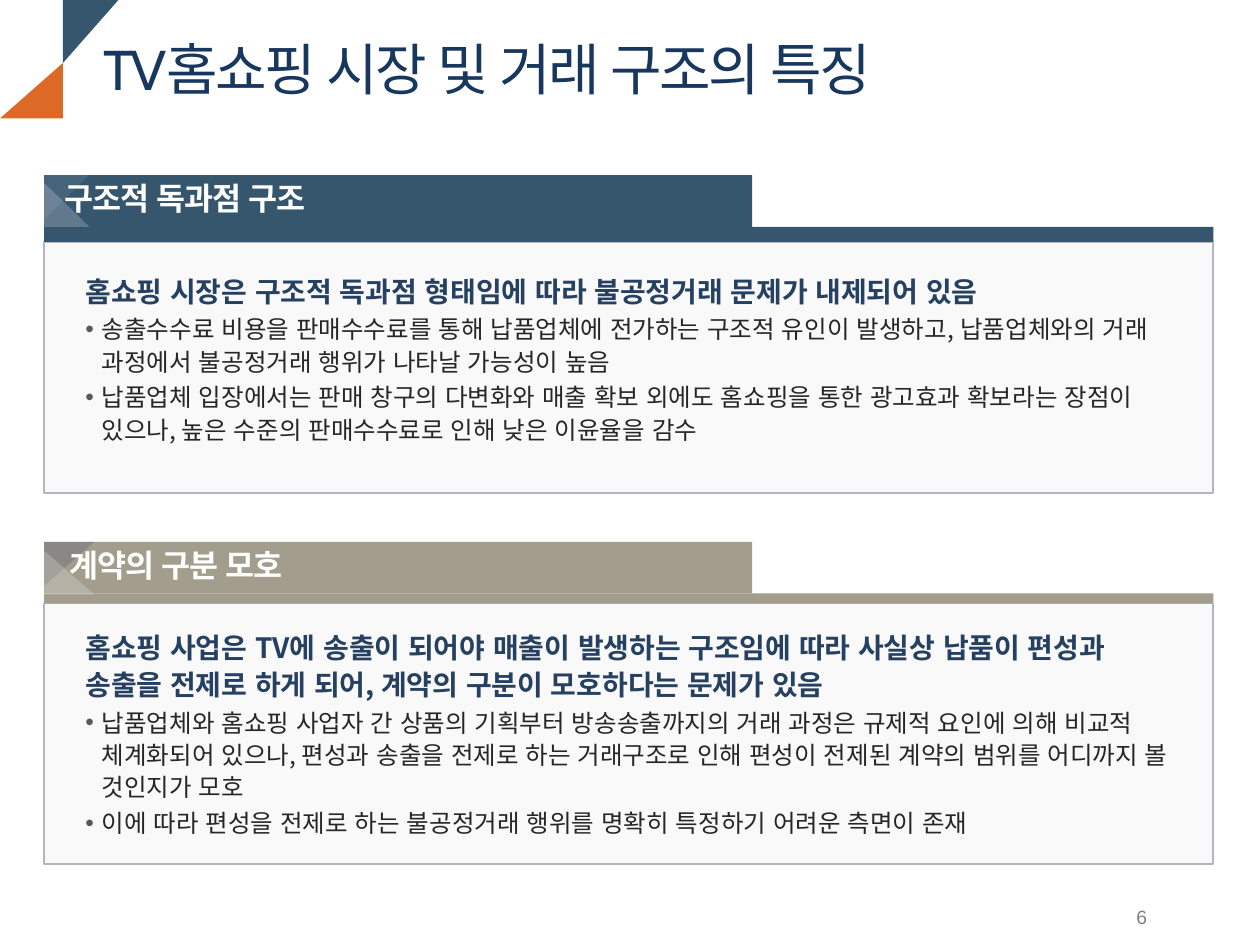
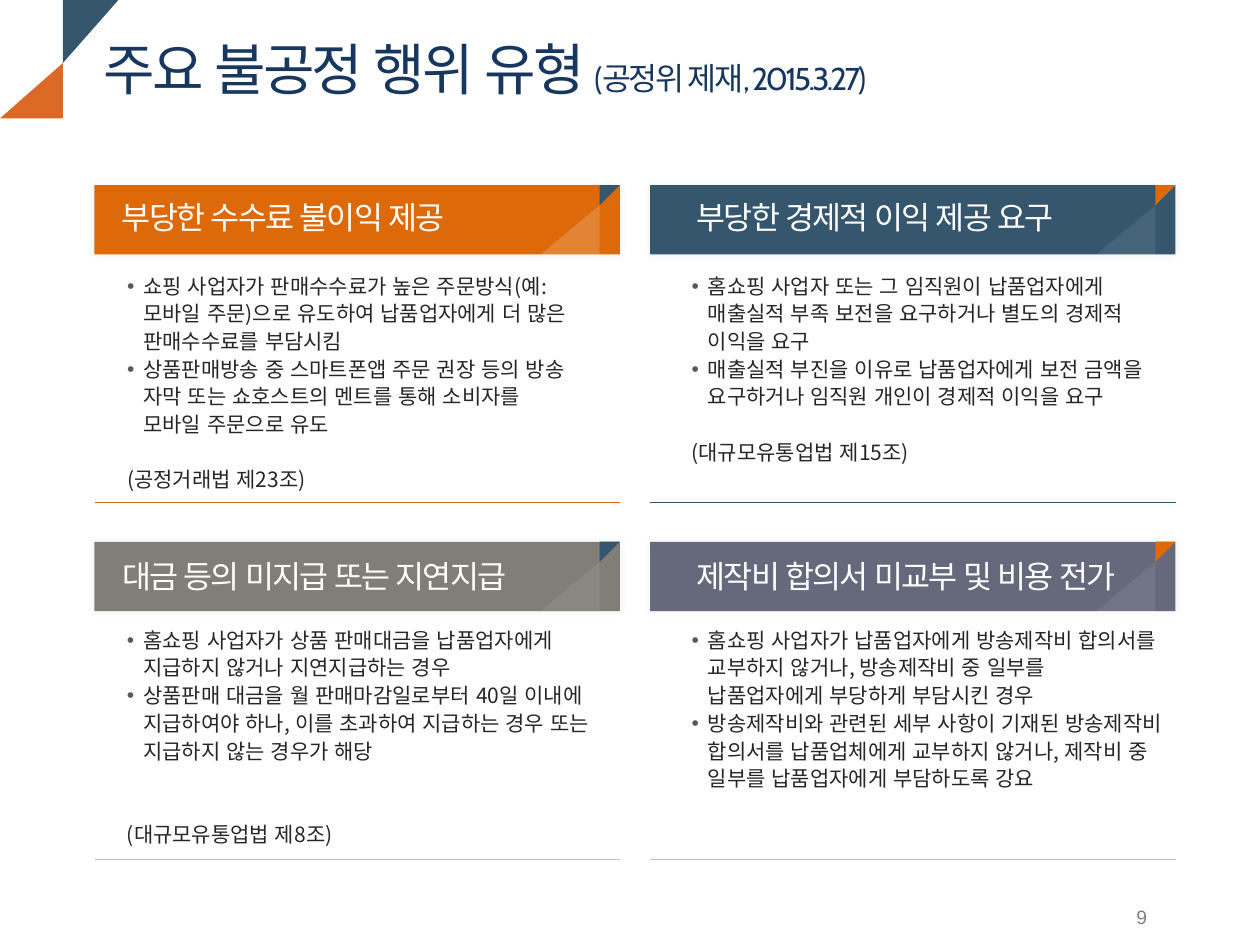
from lxml.etree import SubElement
from pptx import Presentation
from pptx.dml.color import RGBColor
from pptx.enum.lang import MSO_LANGUAGE_ID
from pptx.enum.shapes import MSO_CONNECTOR, MSO_SHAPE
from pptx.enum.text import MSO_ANCHOR, MSO_AUTO_SIZE, PP_ALIGN
from pptx.oxml.ns import qn
from pptx.util import Inches, Pt

WIDE, HIGH = Inches(10), Inches(7.5)
COL, ROW = WIDE / 100, HIGH / 75  # the grid: 100 columns, 75 rows

WHITE = RGBColor(0xFF, 0xFF, 0xFF)
NAVY = RGBColor(0x17, 0x37, 0x5E)
BLUE = RGBColor(0x25, 0x40, 0x61)
TEAL = RGBColor(0x36, 0x56, 0x6E)
RUST = RGBColor(0xDC, 0x6A, 0x26)
ORANGE = RGBColor(0xDD, 0x69, 0x09)
SAND = RGBColor(0xA2, 0x9D, 0x8C)
STONE = RGBColor(0x80, 0x7E, 0x76)
SLATE = RGBColor(0x65, 0x69, 0x7B)
PALE = RGBColor(0xF9, 0xF9, 0xF9)
EDGE = RGBColor(0xB3, 0xB6, 0xC1)
SILVER = RGBColor(0xBF, 0xBF, 0xBF)
GREY = RGBColor(0x80, 0x80, 0x80)
INK = RGBColor(0x26, 0x26, 0x26)

HANGUL = "Noto Sans CJK KR"
# Font attributes, with colour and letter spacing (points) kept apart
TITLE = ({"name": "Cabin", "size": Pt(32)}, NAVY, -1.5)
ASIDE = ({"name": "Cabin", "size": Pt(18)}, NAVY, -1.5)
NUMBER = ({"name": "Arial", "size": Pt(11)}, GREY, -1)
LABEL = ({"name": HANGUL, "size": Pt(18), "bold": True}, WHITE, -0.5)
HEAD = ({"name": HANGUL, "size": Pt(18)}, WHITE, -1)
LEAD = ({"name": HANGUL, "size": Pt(16), "bold": True}, BLUE, 0)
POINT = ({"name": HANGUL, "size": Pt(14)}, INK, 0)
SMALL = ({"name": HANGUL, "size": Pt(12)}, INK, 0)

INSETS = ("margin_left", "margin_top", "margin_right", "margin_bottom")
BODY = {"line_spacing": 1.1, "space_before": Pt(2)}
TIGHT = {"line_spacing": 1.1, "space_before": Pt(0)}
LINE = 15.8  # height of one small text line, in points

PANELS = [
    dict(top=13.9, bar=1.2, deep=19.9, fill=TEAL, fold=3.6, rise=0.6,
         tints=((WHITE, 8), (WHITE, 21)), inset=1.6, drop=7.1, tall=14.9,
         label="구조적 독과점 구조",
         lead="홈쇼핑 시장은 구조적 독과점 형태임에 따라 불공정거래 문제가 내제되어 있음",
         points=["송출수수료 비용을 판매수수료를 통해 납품업체에 전가하는 구조적 유인이 "
                 "발생하고, 납품업체와의 거래 과정에서 불공정거래 행위가 나타날 가능성이 높음",
                 "납품업체 입장에서는 판매 창구의 다변화와 매출 확보 외에도 홈쇼핑을 통한 "
                 "광고효과 확보라는 장점이 있으나, 높은 수준의 판매수수료로 인해 낮은 이윤율을 감수"]),
    dict(top=43, bar=0.8, deep=20.7, fill=SAND, fold=4, rise=0.7,
         tints=((SLATE, 39), (WHITE, 21)), inset=2, drop=6.3, tall=17.9,
         label="계약의 구분 모호",
         lead="홈쇼핑 사업은 TV에 송출이 되어야 매출이 발생하는 구조임에 따라 사실상 "
              "납품이 편성과 송출을 전제로 하게 되어, 계약의 구분이 모호하다는 문제가 있음",
         points=["납품업체와 홈쇼핑 사업자 간 상품의 기획부터 방송송출까지의 거래 과정은 "
                 "규제적 요인에 의해 비교적 체계화되어 있으나, 편성과 송출을 전제로 하는 "
                 "거래구조로 인해 편성이 전제된 계약의 범위를 어디까지 볼 것인지가 모호",
                 "이에 따라 편성을 전제로 하는 불공정거래 행위를 명확히 특정하기 어려운 "
                 "측면이 존재"]),
]

CARDS = [
    dict(fill=ORANGE, tip=TEAL, rule=ORANGE, glow=18, span=30.3,
         head="부당한 수수료 불이익 제공",
         points=["쇼핑 사업자가 판매수수료가 높은 주문방식(예: 모바일 주문)으로 유도하여 "
                 "납품업자에게 더 많은 판매수수료를 부담시킴",
                 "상품판매방송 중 스마트폰앱 주문 권장 등의 방송 자막 또는 쇼호스트의 멘트를 "
                 "통해 소비자를 모바일 주문으로 유도"],
         law="(공정거래법 제23조)", gap=1),
    dict(fill=TEAL, tip=ORANGE, rule=TEAL, glow=8, span=33.4,
         head="부당한 경제적 이익 제공 요구",
         points=["홈쇼핑 사업자 또는 그 임직원이 납품업자에게 매출실적 부족 보전을 "
                 "요구하거나 별도의 경제적 이익을 요구",
                 "매출실적 부진을 이유로 납품업자에게 보전 금액을 요구하거나 임직원 개인이 "
                 "경제적 이익을 요구"],
         law="(대규모유통업법 제15조)", gap=1),
    dict(fill=STONE, tip=TEAL, rule=SILVER, glow=8, span=35.8,
         head="대금 등의 미지급 또는 지연지급",
         points=["홈쇼핑 사업자가 상품 판매대금을 납품업자에게 지급하지 않거나 "
                 "지연지급하는 경우",
                 "상품판매 대금을 월 판매마감일로부터 40일 이내에 지급하여야 하나, 이를 "
                 "초과하여 지급하는 경우 또는 지급하지 않는 경우가 해당"],
         law="(대규모유통업법 제8조)", gap=2),
    dict(fill=SLATE, tip=ORANGE, rule=SILVER, glow=8, span=38.9,
         head="제작비 합의서 미교부 및 비용 전가",
         points=["홈쇼핑 사업자가 납품업자에게 방송제작비 합의서를 교부하지 않거나, "
                 "방송제작비 중 일부를 납품업자에게 부당하게 부담시킨 경우",
                 "방송제작비와 관련된 세부 사항이 기재된 방송제작비 합의서를 "
                 "납품업체에게 교부하지 않거나, 제작비 중 일부를 납품업자에게 부담하도록 강요"],
         law=None, gap=0),
]


def place(x, y, w, h):
    """Turn columns and rows into slide lengths."""
    return round(x * COL), round(y * ROW), round(w * COL), round(h * ROW)


def apply(item, values):
    """Set each attribute named in a dict."""
    for name, value in values.items():
        setattr(item, name, value)


def paint(shape, fill, alpha=100, line=None):
    """Give a shape a flat fill, and a thin line if one is named."""
    shape.shadow.inherit = False
    shape.fill.solid()
    shape.fill.fore_color.rgb = fill
    if alpha < 100:
        color = shape.fill._xPr.find(".//" + qn("a:srgbClr"))
        SubElement(color, qn("a:alpha"), val=str(alpha * 1000))
    if line is None:
        shape.line.fill.background()
    else:
        shape.line.color.rgb = line
        shape.line.width = Pt(1)


def block(slide, box, fill, line=None):
    """Draw a rectangle."""
    shape = slide.shapes.add_shape(MSO_SHAPE.RECTANGLE, *place(*box))
    paint(shape, fill, line=line)
    return shape


def wedge(slide, box, fill, alpha=100, flip=None):
    """Draw a right triangle, mirrored by flipH or flipV."""
    shape = slide.shapes.add_shape(MSO_SHAPE.RIGHT_TRIANGLE, *place(*box))
    paint(shape, fill, alpha)
    if flip:
        shape._element.spPr.xfrm.set(flip, "1")


def glow(shape):
    """Add a faint, soft shadow on all sides."""
    cast = SubElement(shape._element.spPr.find(qn("a:effectLst")),
                      qn("a:outerShdw"), blurRad=str(Pt(5)), dist="0", dir="0",
                      algn="ctr", rotWithShape="0")
    color = SubElement(cast, qn("a:srgbClr"), val="000000")
    SubElement(color, qn("a:alpha"), val="6000")


def frame(slide, box, wrap=True, inset=True, **values):
    """Add a text box and return its text frame."""
    text = slide.shapes.add_textbox(*place(*box)).text_frame
    apply(text, {"word_wrap": wrap, "auto_size": MSO_AUTO_SIZE.SHAPE_TO_FIT_TEXT,
                 **values})
    if not inset:
        apply(text, dict.fromkeys(INSETS, 0))
    return text


def write(para, words, style):
    """Add a run in one of the text styles."""
    values, color, space = style
    run = para.add_run()
    run.text = words
    apply(run.font, {**values, "language_id": MSO_LANGUAGE_ID.KOREAN})
    run.font.color.rgb = color
    mark = run._r.get_or_add_rPr()
    mark.set("spc", str(round(space * 100)))
    SubElement(mark, qn("a:ea"), typeface=HANGUL)


def dot(para):
    """Give a paragraph a grey bullet and a hanging indent."""
    mark = para._p.get_or_add_pPr()
    mark.set("marL", str(Inches(0.13)))
    mark.set("indent", str(-Inches(0.13)))
    color = SubElement(mark, qn("a:buClr"))
    SubElement(color, qn("a:srgbClr"), val="595959")
    SubElement(mark, qn("a:buFont"), typeface="Arial")
    SubElement(mark, qn("a:buChar"), char="•")


def fill_text(text, rows, form):
    """Write rows of (words, style, bullet, extra format)."""
    for i, (words, style, bullet, extra) in enumerate(rows):
        para = text.add_paragraph() if i else text.paragraphs[0]
        apply(para, {**form, **extra})
        if bullet:
            dot(para)
        write(para, words, style)


def base(deck, number, *title):
    """Add a slide with the corner mark, page number and title."""
    slide = deck.slides.add_slide(deck.slide_layouts[6])
    for fill, spots in ((TEAL, [(5, 0), (9.4, 0), (5, 5)]),
                        (RUST, [(5, 9.4), (5, 5), (0, 9.4)])):
        spots = [(round(x * COL), round(y * ROW)) for x, y in spots]
        pen = slide.shapes.build_freeform(*spots[0])
        pen.add_line_segments(spots[1:], close=True)
        paint(pen.convert_to_shape(), fill)
    text = frame(slide, (89.2, 71.3, 2.7, 2.9), wrap=False,
                 vertical_anchor=MSO_ANCHOR.MIDDLE)
    text.paragraphs[0].alignment = PP_ALIGN.CENTER
    write(text.paragraphs[0], str(number), NUMBER)
    text = frame(slide, (7.2, 2.2, 68.8, 6.4), vertical_anchor=MSO_ANCHOR.MIDDLE)
    for words, style in zip(title, (TITLE, ASIDE)):
        write(text.paragraphs[0], words, style)
    return slide


def panel(slide, top, bar, deep, fill, fold, rise, tints, inset, drop, tall,
          label, lead, points):
    """Draw a wide box with a tab, a bar, a lead line and points."""
    left, wide, tab = 3.5, 92.8, 4.1
    block(slide, (left, top + tab + bar, wide, deep), PALE, EDGE)
    block(slide, (left, top + tab, wide, bar), fill)
    block(slide, (left, top, 56.2, tab), fill)
    for tint, step, flip in zip(tints, (0, rise), ("flipV", None)):
        wedge(slide, (left, top + step, fold, 3.5), *tint, flip)
    text = frame(slide, (left + inset, top + 0.3, 44, 3), inset=False)
    write(text.paragraphs[0], label, LABEL)
    rows = [(lead, LEAD, False, {})] + [(p, POINT, True, {}) for p in points]
    fill_text(frame(slide, (5.8, top + drop, 88.3, tall)), rows, BODY)


def card(slide, col, row, fill, tip, rule, glow_share, span, head, points, law, gap):
    """Draw a headed card with points, a law and a closing rule."""
    left, top, wide, tall = 7.5 + 44.1 * col, 14.7 + 28.3 * row, 41.7, 5.5
    fold = left + wide - 1.6
    glow(block(slide, (left, top, wide, tall), fill))
    wedge(slide, (fold, top, 1.6, 1.6), tip, flip="flipV")
    wedge(slide, (fold - 4.7, top + 1.6, 4.7, 3.9), WHITE, glow_share, "flipH")
    text = frame(slide, (left + 1.2 + 1.5 * col, top + 0.5 + 0.2 * row, span, 4),
                 wrap=False)
    write(text.paragraphs[0], head, HEAD)
    rows = [(p, SMALL, True, {}) for p in points]
    if law:
        rows.append((law, SMALL, False, {"space_before": Pt(gap * LINE)}))
    box = (left + 1.6 + 0.7 * col, top + 6.3 - 0.2 * row, 37.8 + 1.6 * row, 18.8)
    fill_text(frame(slide, box), rows, TIGHT)
    x, y, run, _ = place(left, top + 25.2, wide, 0)
    line = slide.shapes.add_connector(MSO_CONNECTOR.STRAIGHT, x, y, x + run, y)
    line.line.color.rgb = rule
    line.line.width = Pt(0.75)
    SubElement(line._element.spPr, qn("a:effectLst"))


def main():
    """Build both slides and save them."""
    deck = Presentation()
    apply(deck, {"slide_width": WIDE, "slide_height": HIGH})
    slide = base(deck, 6, "TV홈쇼핑 시장 및 거래 구조의 특징")
    for part in PANELS:
        panel(slide, **part)
    slide = base(deck, 9, "주요 불공정 행위 유형", " (공정위 제재, 2015.3.27)")
    for i, part in enumerate(CARDS):
        row, col = divmod(i, 2)
        share = {"glow_share" if k == "glow" else k: v for k, v in part.items()}
        card(slide, col, row, **share)
    deck.save("out.pptx")


main()
